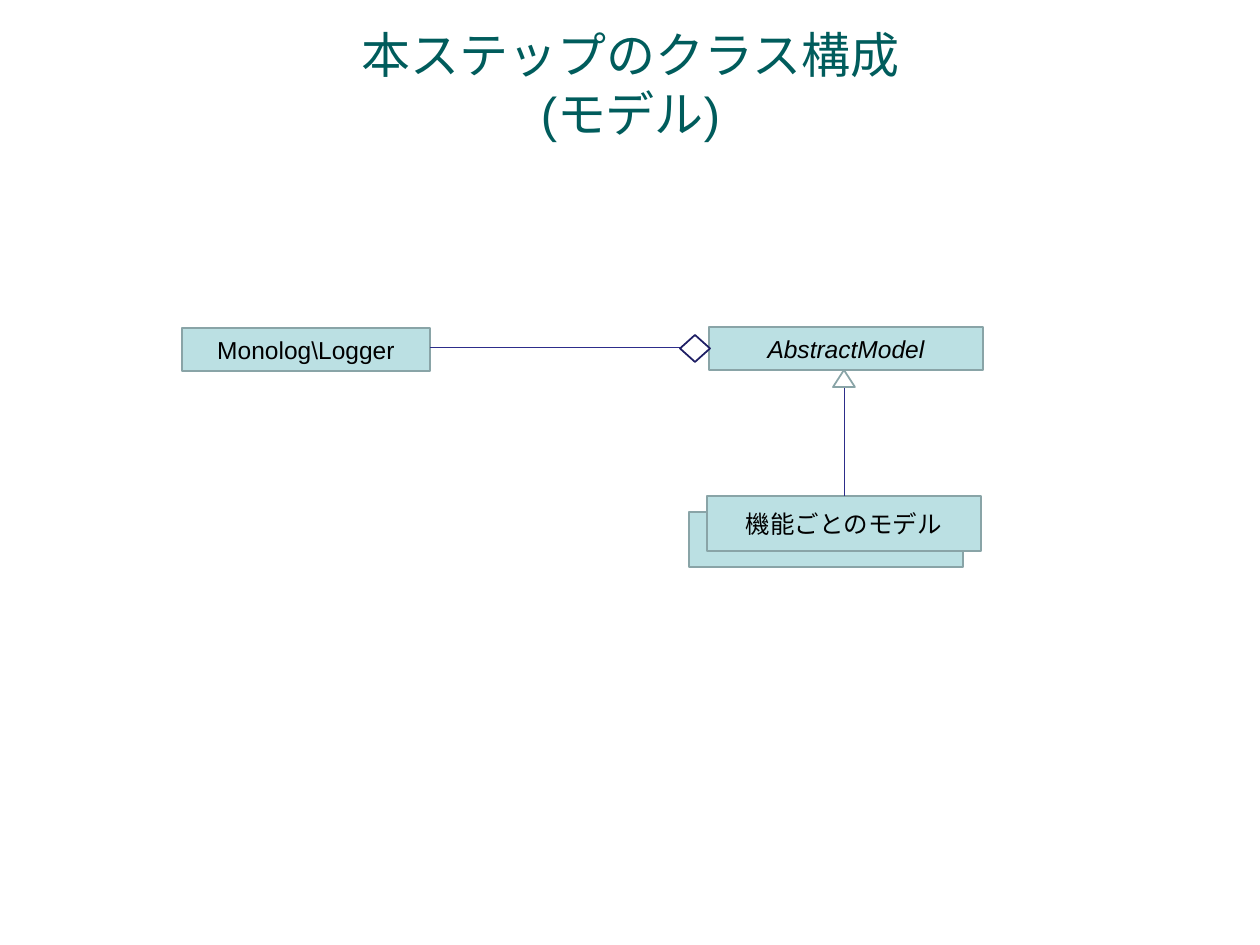
from pptx import Presentation
from pptx.dml.color import RGBColor
from pptx.enum.shapes import MSO_CONNECTOR, MSO_SHAPE
from pptx.enum.text import MSO_ANCHOR, MSO_AUTO_SIZE, PP_ALIGN
from pptx.oxml.ns import qn
from pptx.util import Emu, Pt

RECT, TRIANGLE, DECISION = (
    MSO_SHAPE.RECTANGLE, MSO_SHAPE.ISOSCELES_TRIANGLE, MSO_SHAPE.FLOWCHART_DECISION)
STRAIGHT, ELBOW = MSO_CONNECTOR.STRAIGHT, MSO_CONNECTOR.ELBOW

PX = 914400 / 126
COLORS = {
    "title": "005C5C", "text": "000000", "box": "BBE0E3", "edge": "89A4A7",
    "white": "FFFFFF", "link": "2D2D8A", "diamond": "1E1E64",
}

TITLE = ["本ステップのクラス構成", "(モデル)"]
TITLE_BOX = (95, 31, 1071, 105)

# text, (left, top, width, height), italic; back to front
CLASSES = [
    ("", (689, 512, 274, 55), False),
    ("機能ごとのモデル", (707, 496, 274, 55), False),
    ("AbstractModel", (709, 327, 274, 43), True),
    ("Monolog\\Logger", (182, 328, 248, 43), False),
]
# connector kind, (from x, from y, to x, to y)
LINKS = [
    (STRAIGHT, (844, 496, 844, 370)),
    (ELBOW, (430, 348, 707, 348)),
]
# UML end symbols: shape, box, line colour
SYMBOLS = [
    (TRIANGLE, (833, 370, 22, 17), "edge"),
    (DECISION, (680, 335, 30, 27), "diamond"),
]


def px(values):
    return [Emu(round(v * PX)) for v in values]


def rgb(name):
    return RGBColor.from_string(COLORS[name])


def write(tf, lines, size=14, color="text", italic=False):
    tf.word_wrap = True
    tf.auto_size = MSO_AUTO_SIZE.NONE
    tf.vertical_anchor = MSO_ANCHOR.MIDDLE
    p = tf.paragraphs[0]
    p.alignment = PP_ALIGN.CENTER
    for i, line in enumerate(lines):
        if i:
            p.add_line_break()
        r = p.add_run()
        r.text = line
        r.font.name = "Arial"
        r.font.size = Pt(size)
        r.font.italic = italic
        r.font.color.rgb = rgb(color)


def add_shape(s, kind, box, fill, line):
    sp = s.shapes.add_shape(kind, *px(box))
    sp.shadow.inherit = False
    sp.fill.solid()
    sp.fill.fore_color.rgb = rgb(fill)
    sp.line.color.rgb = rgb(line)
    sp.line.width = Pt(1)
    return sp


def add_link(s, kind, ends):
    link = s.shapes.add_connector(kind, *px(ends))
    link.line.color.rgb = rgb("link")
    link.line.width = Pt(0.5)
    sp_pr = link.element.spPr
    sp_pr.append(sp_pr.makeelement(qn("a:effectLst"), {}))


def main():
    prs = Presentation()
    prs.slide_width, prs.slide_height = px((1260, 945))
    s = prs.slides.add_slide(prs.slide_layouts[5])

    title = s.shapes.title
    title.left, title.top, title.width, title.height = px(TITLE_BOX)
    write(title.text_frame, TITLE, size=28, color="title")

    for text, box, italic in CLASSES:
        sp = add_shape(s, RECT, box, "box", "edge")
        if text:
            write(sp.text_frame, [text], italic=italic)
    for kind, ends in LINKS:
        add_link(s, kind, ends)
    for kind, box, line in SYMBOLS:
        add_shape(s, kind, box, "white", line)

    prs.save("out.pptx")


if __name__ == "__main__":
    main()
